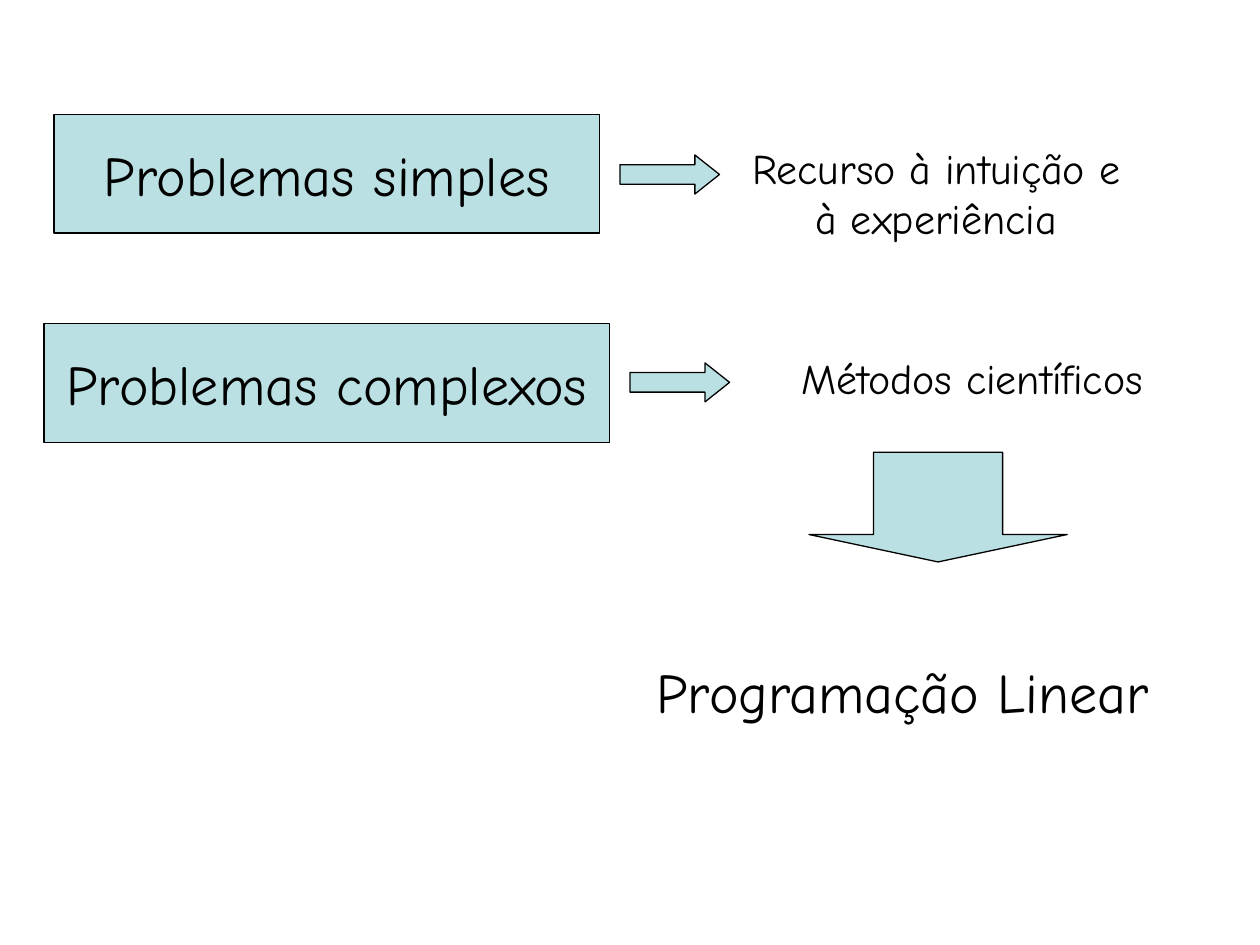
"""Build a slide that matches kinds of problems with ways of solving them."""
import pptx
import pptx.dml.color
import pptx.enum.shapes
import pptx.enum.text
import pptx.util

Inches = pptx.util.Inches
Shapes = pptx.enum.shapes.MSO_SHAPE
Align = pptx.enum.text.PP_ALIGN
PALE_TEAL = pptx.dml.color.RGBColor(0xBB, 0xE0, 0xE3)
BLACK = pptx.dml.color.RGBColor(0, 0, 0)


class SlideBuilder:
    font = "Comic Neue"
    large = pptx.util.Pt(32)
    medium = pptx.util.Pt(24)
    outline = pptx.util.Pt(0.75)

    def __init__(self, slide):
        self.slide = slide

    def add_lines(self, frame, lines, size, align):
        for index, line in enumerate(lines):
            para = frame.add_paragraph() if index else frame.paragraphs[0]
            para.alignment = align
            span = para.add_run()
            span.text = line
            span.font.name = self.font
            span.font.size = size
            span.font.color.rgb = BLACK

    def shape(self, kind, left, top, width, height):
        shape = self.slide.shapes.add_shape(
            kind, Inches(left), Inches(top), Inches(width), Inches(height))
        shape.shadow.inherit = False
        shape.fill.solid()
        shape.fill.fore_color.rgb = PALE_TEAL
        shape.line.color.rgb = BLACK
        shape.line.width = self.outline
        return shape

    def problem(self, text, left, top, width, height):
        box = self.shape(Shapes.RECTANGLE, left, top, width, height)
        box.text_frame.word_wrap = False
        box.text_frame.vertical_anchor = pptx.enum.text.MSO_ANCHOR.MIDDLE
        self.add_lines(box.text_frame, [text], self.large, Align.CENTER)

    def arrow(self, kind, left, top, width, height, head):
        arrow = self.shape(kind, left, top, width, height)
        arrow.adjustments[0] = 0.5
        arrow.adjustments[1] = head

    def text(self, lines, left, top, width, height, size, align, wrap=False):
        box = self.slide.shapes.add_textbox(
            Inches(left), Inches(top), Inches(width), Inches(height))
        box.text_frame.word_wrap = wrap
        box.text_frame.auto_size = pptx.enum.text.MSO_AUTO_SIZE.SHAPE_TO_FIT_TEXT
        self.add_lines(box.text_frame, lines, size, align)


def main():
    deck = pptx.Presentation()
    deck.slide_width = Inches(10)
    deck.slide_height = Inches(7.5)
    builder = SlideBuilder(deck.slides.add_slide(deck.slide_layouts[6]))

    builder.problem("Problemas simples", 0.43, 0.91, 4.33, 0.94)
    builder.problem("Problemas complexos", 0.35, 2.57, 4.49, 0.94)
    for left, top in ((4.92, 1.23), (5, 2.88)):
        builder.arrow(Shapes.RIGHT_ARROW, left, top, 0.79, 0.31, 0.63)
    builder.text(["Recurso à intuição e", "à experiência"],
                 5.87, 1.08, 3.12, 0.9, builder.medium, Align.CENTER)
    builder.text(["Métodos científicos"],
                 6.26, 2.75, 2.92, 0.5, builder.medium, Align.LEFT)
    builder.arrow(Shapes.DOWN_ARROW, 6.42, 3.59, 2.05, 0.87, 0.25)
    builder.text(["Programação Linear"],
                 4.84, 5.17, 4.65, 0.64, builder.large, Align.CENTER, wrap=True)
    deck.save("out.pptx")


if __name__ == "__main__":
    main()
